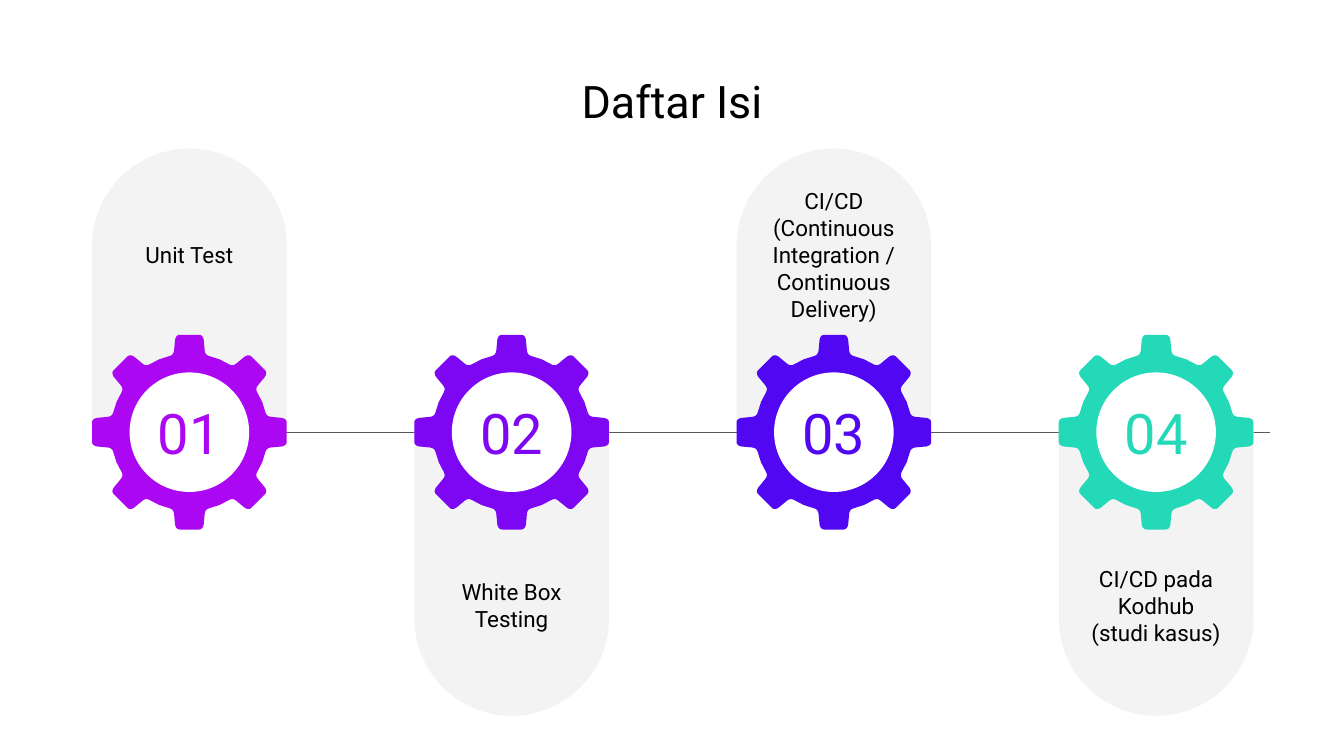
from dataclasses import dataclass
from math import cos, pi, sin

from lxml import etree
from pptx import Presentation
from pptx.dml.color import RGBColor
from pptx.enum.shapes import MSO_CONNECTOR, MSO_SHAPE
from pptx.enum.text import MSO_ANCHOR as Anchor, PP_ALIGN as Align
from pptx.oxml.ns import qn
from pptx.shapes.autoshape import Shape
from pptx.shapes.shapetree import GroupShapes, SlideShapes
from pptx.util import Cm, Pt


@dataclass(frozen=True)
class Theme:
    font: str = "Roboto"
    text: str = "000000"
    capsule: str = "F3F3F3"
    hub: str = "FFFFFF"
    line: str = "595959"
    title_size: int = 24
    number_size: int = 30
    label_size: int = 12


@dataclass(frozen=True)
class Step:
    label: str
    color: str


@dataclass(frozen=True)
class Box:
    """A rectangle measured in centimetres."""
    left: float
    top: float
    width: float
    height: float

    def lengths(self) -> tuple[Cm, Cm, Cm, Cm]:
        return Cm(self.left), Cm(self.top), Cm(self.width), Cm(self.height)


THEME = Theme()
STEPS = [
    Step("Unit Test", "AC07F2"),
    Step("White Box Testing", "7D07F2"),
    Step("CI/CD\v(Continuous Integration / Continuous Delivery)", "5207F2"),
    Step("CI/CD pada Kodhub\v(studi kasus)", "23D9B7"),
]

# Layout in centimetres
FIRST_LEFT, PITCH = 1.74, 6.09
GEAR_SIZE, HUB_SIZE = 3.68, 2.26
AXIS = 8.17
CAPSULE_HEIGHT = 5.36
NUMBER_WIDTH, NUMBER_HEIGHT = 1.93, 1.42
LABEL_HEIGHT = 2.67
LABEL_TOP_ABOVE, LABEL_TOP_BELOW = 3.48, 10.11

# Left half of the upright tooth: start, control and end of each rounded corner
TEETH = 8
TOOTH_CORNERS = [
    ((-0.37, -1.44), (-0.30, -1.46), (-0.29, -1.54)),
    ((-0.27, -1.75), (-0.25, -1.84), (-0.18, -1.84)),
]
VALLEY_RADIUS = 1.49
CURVE_STEPS = 5

Point = tuple[float, float]


def gear_outline() -> list[Point]:
    """Points of a gear centred on the origin."""
    half = []
    for start, control, end in TOOTH_CORNERS:
        for step in range(CURVE_STEPS + 1):
            t = step / CURVE_STEPS
            half.append(tuple((1 - t) ** 2 * a + 2 * t * (1 - t) * b + t * t * c
                              for a, b, c in zip(start, control, end)))
    valley_angle = pi / TEETH
    valley = (VALLEY_RADIUS * sin(valley_angle), -VALLEY_RADIUS * cos(valley_angle))
    tooth = half + [(-x, y) for x, y in reversed(half)] + [valley]
    turns = [2 * pi * index / TEETH for index in range(TEETH)]
    return [(x * cos(turn) - y * sin(turn), x * sin(turn) + y * cos(turn))
            for turn in turns for x, y in tooth]


def paint(shape: Shape, color: str) -> None:
    shape.shadow.inherit = False
    shape.fill.solid()
    shape.fill.fore_color.rgb = RGBColor.from_string(color)
    shape.line.fill.background()


def add_gear(shapes: GroupShapes, center_x: float, color: str) -> None:
    points = [(Cm(center_x + x), Cm(AXIS + y)) for x, y in gear_outline()]
    builder = shapes.build_freeform(*points[0])
    builder.add_line_segments(points[1:], close=True)
    paint(builder.convert_to_shape(), color)


def add_text(shapes: GroupShapes | SlideShapes, box: Box, text: str, size: int,
             color: str, anchor: Anchor = Anchor.MIDDLE) -> None:
    text_frame = shapes.add_textbox(*box.lengths()).text_frame
    text_frame.word_wrap = True
    text_frame.vertical_anchor = anchor
    text_frame.margin_left = text_frame.margin_right = Cm(0.25)
    text_frame.margin_top = text_frame.margin_bottom = Cm(0.25)
    text_frame.text = text
    for paragraph in text_frame.paragraphs:
        paragraph.alignment = Align.CENTER
        for run in paragraph.runs:
            run.font.name = THEME.font
            run.font.size = Pt(size)
            run.font.color.rgb = RGBColor.from_string(color)


def add_axis(shapes: SlideShapes) -> None:
    axis = shapes.add_connector(MSO_CONNECTOR.STRAIGHT,
                                Cm(2.08), Cm(AXIS), Cm(24), Cm(AXIS))
    axis.line.color.rgb = RGBColor.from_string(THEME.line)
    axis.line.width = Pt(0.75)
    properties = axis.element.find(qn("p:spPr"))
    etree.SubElement(properties, qn("a:effectLst"))


def add_step(shapes: SlideShapes, index: int, step: Step) -> None:
    group = shapes.add_group_shape().shapes
    left = FIRST_LEFT + index * PITCH
    center_x = left + GEAR_SIZE / 2
    is_above = index % 2 == 0

    # Capsule, rounded away from the axis
    capsule_top = AXIS - CAPSULE_HEIGHT if is_above else AXIS
    capsule_box = Box(left, capsule_top, GEAR_SIZE, CAPSULE_HEIGHT)
    capsule = group.add_shape(MSO_SHAPE.ROUND_2_SAME_RECTANGLE, *capsule_box.lengths())
    capsule.adjustments[0] = 0.5
    capsule.adjustments[1] = 0
    capsule.rotation = 0 if is_above else 180
    paint(capsule, THEME.capsule)

    # Gear with its white hub
    add_gear(group, center_x, step.color)
    hub_box = Box(center_x - HUB_SIZE / 2, AXIS - HUB_SIZE / 2, HUB_SIZE, HUB_SIZE)
    paint(group.add_shape(MSO_SHAPE.OVAL, *hub_box.lengths()), THEME.hub)

    # Number and label
    number_box = Box(center_x - NUMBER_WIDTH / 2, AXIS - NUMBER_HEIGHT / 2,
                     NUMBER_WIDTH, NUMBER_HEIGHT)
    add_text(group, number_box, f"{index + 1:02}", THEME.number_size, step.color)
    label_top = LABEL_TOP_ABOVE if is_above else LABEL_TOP_BELOW
    label_box = Box(left, label_top, GEAR_SIZE, LABEL_HEIGHT)
    add_text(group, label_box, step.label, THEME.label_size, THEME.text)


def main() -> None:
    presentation = Presentation()
    presentation.slide_width, presentation.slide_height = Cm(25.4), Cm(14.29)
    slide = presentation.slides.add_slide(presentation.slide_layouts[6])

    add_text(slide.shapes, Box(1.27, 1.14, 22.86, 1.27), "Daftar Isi",
             THEME.title_size, THEME.text, Anchor.TOP)
    add_axis(slide.shapes)
    for index, step in enumerate(STEPS):
        add_step(slide.shapes, index, step)

    presentation.save("out.pptx")


if __name__ == "__main__":
    main()
